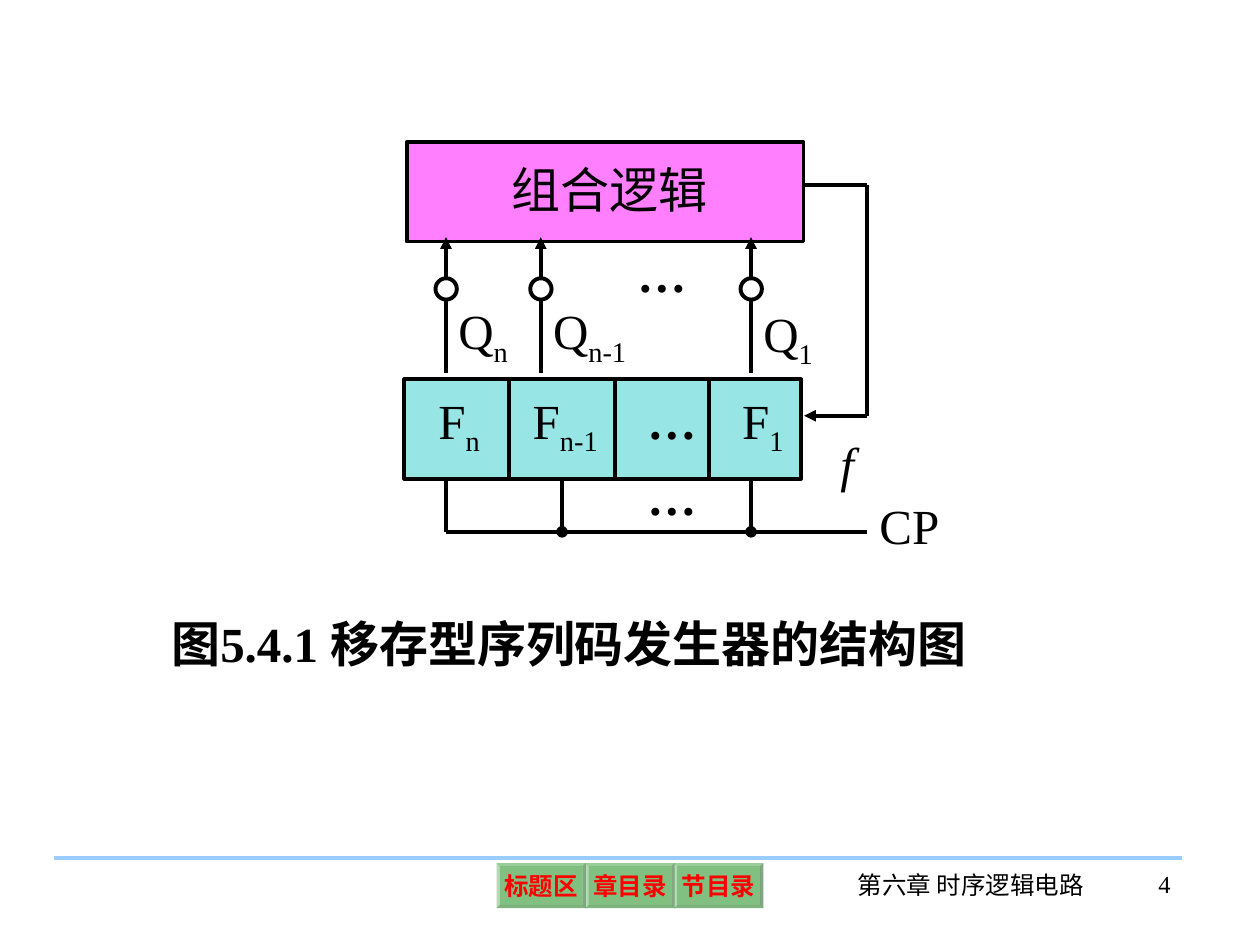
from dataclasses import dataclass, field

from lxml.etree import SubElement as Sub
from pptx import Presentation
from pptx.dml.color import RGBColor
from pptx.enum.shapes import MSO_CONNECTOR as Link, MSO_SHAPE as Kind
from pptx.enum.text import MSO_ANCHOR as Anchor, MSO_AUTO_SIZE as Fit, PP_ALIGN as Align
from pptx.oxml.ns import qn
from pptx.util import Cm, Pt

BLACK, WHITE, RED = "000000", "FFFFFF", "FF0000"
LATIN, HAN = "Times New Roman", "Noto Sans CJK SC"


@dataclass
class Label:
    text: str
    x: float
    y: float
    w: float
    h: float = 1.45
    sub: str = ""
    size: int = 28
    align: Align = Align.LEFT
    font: dict = field(default_factory=dict)


@dataclass
class Wire:
    x1: float
    y1: float
    x2: float
    y2: float
    tail: str = ""
    hue: str = BLACK


@dataclass
class Block:
    kind: Kind
    x: float
    y: float
    w: float
    h: float
    hue: str
    alpha: int = 100
    edge: bool = True


def paint(fmt, hue: str) -> None:
    fmt.solid()
    fmt.fore_color.rgb = RGBColor.from_string(hue)


def apply(item, vals: dict) -> None:
    for key, val in vals.items():
        setattr(item, key, val)


def place(item, x: float, y: float, w: float, h: float) -> None:
    apply(item, dict(left=Cm(x), top=Cm(y), width=Cm(w), height=Cm(h)))


def add_run(para, text: str, size: int, hue: str = BLACK, base: int = 0, **font) -> None:
    run = para.add_run()
    run.text = text
    apply(run.font, {"name": LATIN, "size": Pt(size), "bold": False} | font)
    paint(run.font.fill, hue)
    props = run.font._element
    Sub(props, qn("a:ea")).set("typeface", HAN)
    if base:
        props.set("baseline", str(base * 1000))


def draw_label(slide, tag: Label) -> None:
    box = slide.shapes.add_textbox(Cm(tag.x), Cm(tag.y), Cm(tag.w), Cm(tag.h))
    box.text_frame.word_wrap = True
    para = box.text_frame.paragraphs[0]
    para.alignment = tag.align
    add_run(para, tag.text, tag.size, **tag.font)
    if tag.sub:
        add_run(para, tag.sub, tag.size, base=-25)


def draw_wire(slide, wire: Wire) -> None:
    ends = map(Cm, (wire.x1, wire.y1, wire.x2, wire.y2))
    link = slide.shapes.add_connector(Link.STRAIGHT, *ends)
    paint(link.line.fill, wire.hue)
    link.line.width = Pt(2.25)
    if wire.tail:
        Sub(link.line._get_or_add_ln(), qn("a:tailEnd")).set("type", wire.tail)
    Sub(link._element.spPr, qn("a:effectLst"))


def draw_block(slide, part: Block):
    shape = slide.shapes.add_shape(part.kind, *map(Cm, (part.x, part.y, part.w, part.h)))
    shape.shadow.inherit = False
    paint(shape.fill, part.hue)
    if part.alpha < 100:
        tint = next(shape._element.spPr.iter(qn("a:srgbClr")))
        Sub(tint, qn("a:alpha")).set("val", str(part.alpha * 1000))
    if part.edge:
        paint(shape.line.fill, BLACK)
        shape.line.width = Pt(2.25)
    else:
        shape.line.fill.background()
    return shape


def draw_key(slide, text: str, x: float) -> None:
    key = draw_block(slide, Block(Kind.BEVEL, x, 17.4, 1.8, 0.91, "008000", 49, False))
    key.adjustments[0] = 0.07
    frame = key.text_frame
    sides = ("left", "top", "right", "bottom")
    apply(frame, {f"margin_{side}": Cm(0.1) for side in sides})
    apply(frame, dict(word_wrap=False, vertical_anchor=Anchor.MIDDLE))
    frame.paragraphs[0].alignment = Align.CENTER
    add_run(frame.paragraphs[0], text, 14, RED, bold=True)


def draw_title(slide) -> None:
    title = slide.shapes.title
    place(title, 3.2, 12.24, 19.15, 1.45)
    apply(title.text_frame, dict(word_wrap=True, auto_size=Fit.NONE, vertical_anchor=Anchor.TOP))
    para = title.text_frame.paragraphs[0]
    para.alignment = Align.LEFT
    add_run(para, "图5.4.1 ", 28, bold=True)
    add_run(para, "移存型序列码发生器", 28, bold=True, name=HAN)
    add_run(para, "的结构图", 28, bold=True)


def draw_logic(slide) -> None:
    draw_block(slide, Block(Kind.RECTANGLE, 8.2, 2.87, 8, 2, "FF00FF", 50))
    draw_label(slide, Label("组合逻辑", 10.06, 3.1, 7.19))


def draw_stages(slide) -> None:
    top, base, bus, end = 7.65, 9.65, 10.72, 17.48
    draw_block(slide, Block(Kind.RECTANGLE, 8.15, top, 8, 2, "33CCCC", 50))
    for x in (10.26, 12.4, 14.3):
        draw_wire(slide, Wire(x, top, x, base))
    stages = (
        ("n", 8.99, 5.94, 2.08, 8.59, 1.7),
        ("n-1", 10.9, 5.94, 2.59, 10.49, 5.72),
        ("1", 15.14, 5.99, 1.9, 14.71, 1.7),
    )
    for sub, x, y, wide, left, span in stages:
        draw_wire(slide, Wire(x, 7.52, x, 4.78, "triangle"))
        draw_block(slide, Block(Kind.OVAL, x - 0.21, 5.61, 0.43, 0.43, WHITE))
        draw_label(slide, Label("Q", x, y, wide, 1.6, sub))
        draw_label(slide, Label("F", left, 7.75, span, 1.6, sub))
    for x, y in ((12.6, 4.78), (12.8, 7.75), (12.8, 9.27)):
        draw_label(slide, Label("…", x, y, 2.11, font={"bold": True}))
    draw_wire(slide, Wire(8.99, bus, end, bus))
    for x, tail in ((8.99, ""), (11.33, "oval"), (15.14, "oval")):
        draw_wire(slide, Wire(x, base, x, bus, tail))
    draw_label(slide, Label("CP", end, 9.86, 1.9))


def draw_loop(slide) -> None:
    near, far, high, low = 16.21, 17.48, 3.73, 8.38
    draw_wire(slide, Wire(near, high, far, high))
    draw_wire(slide, Wire(far, high, far, low))
    draw_wire(slide, Wire(far, low, near, low, "triangle"))
    draw_label(slide, Label("f", 16.69, 8.61, 1.45, font={"italic": True}))


def draw_foot(slide) -> None:
    draw_wire(slide, Wire(1.09, 17.3, 23.83, 17.3, hue="99CCFF"))
    for i, text in enumerate(("标题区", "章目录", "节目录")):
        draw_key(slide, text, 10.01 + 1.79 * i)
    draw_label(slide, Label("第六章 时序逻辑电路", 16.92, 17.42, 5.31, 1.27, size=14, align=Align.CENTER))
    draw_label(slide, Label("4", 21.67, 17.4, 2.18, 1.27, size=14, align=Align.RIGHT))


def main() -> None:
    deck = Presentation()
    apply(deck, dict(slide_width=Cm(25.4), slide_height=Cm(19.05)))
    slide = deck.slides.add_slide(deck.slide_layouts[5])
    paint(slide.background.fill, WHITE)
    for draw in (draw_title, draw_logic, draw_stages, draw_loop, draw_foot):
        draw(slide)
    deck.save("out.pptx")


if __name__ == "__main__":
    main()
